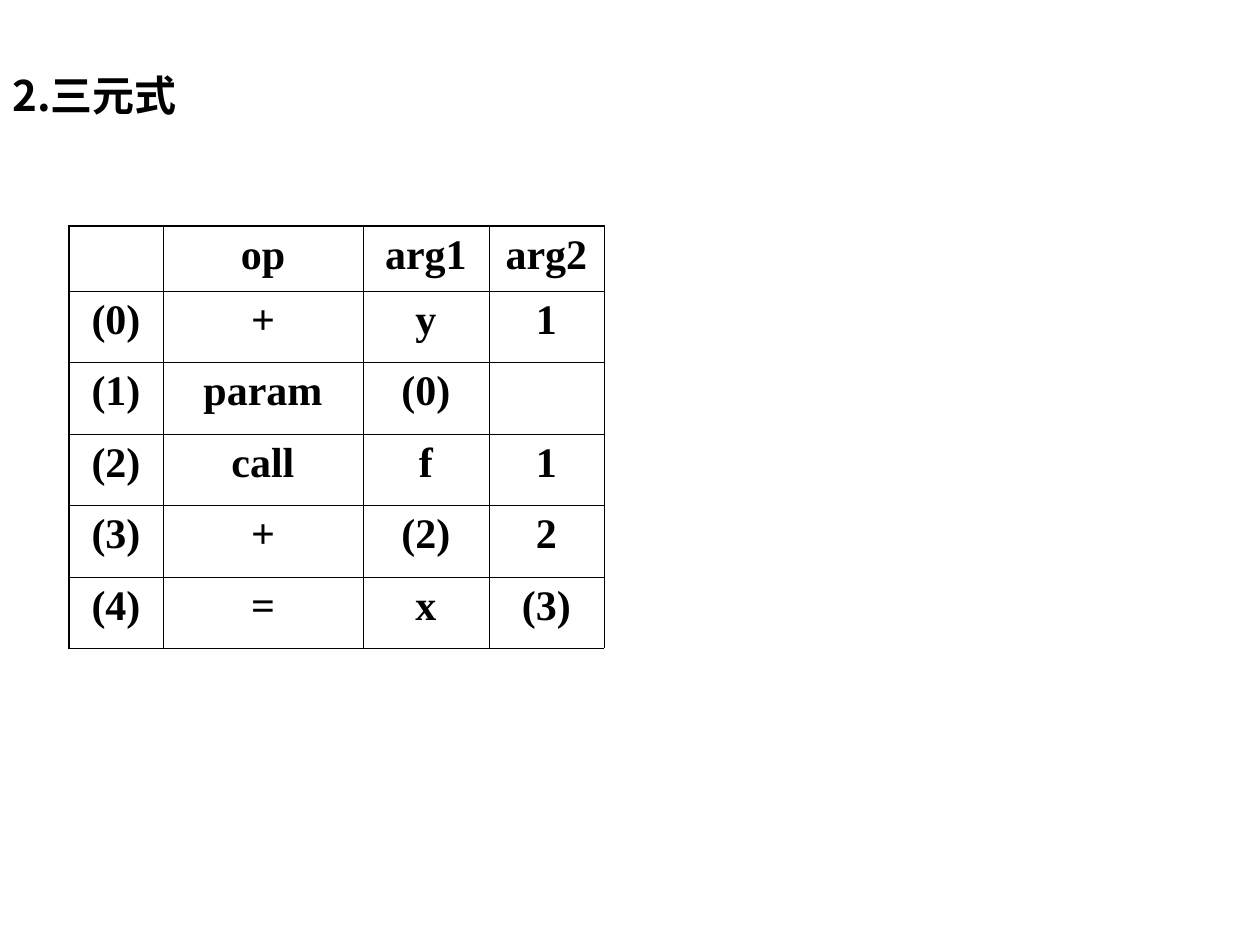
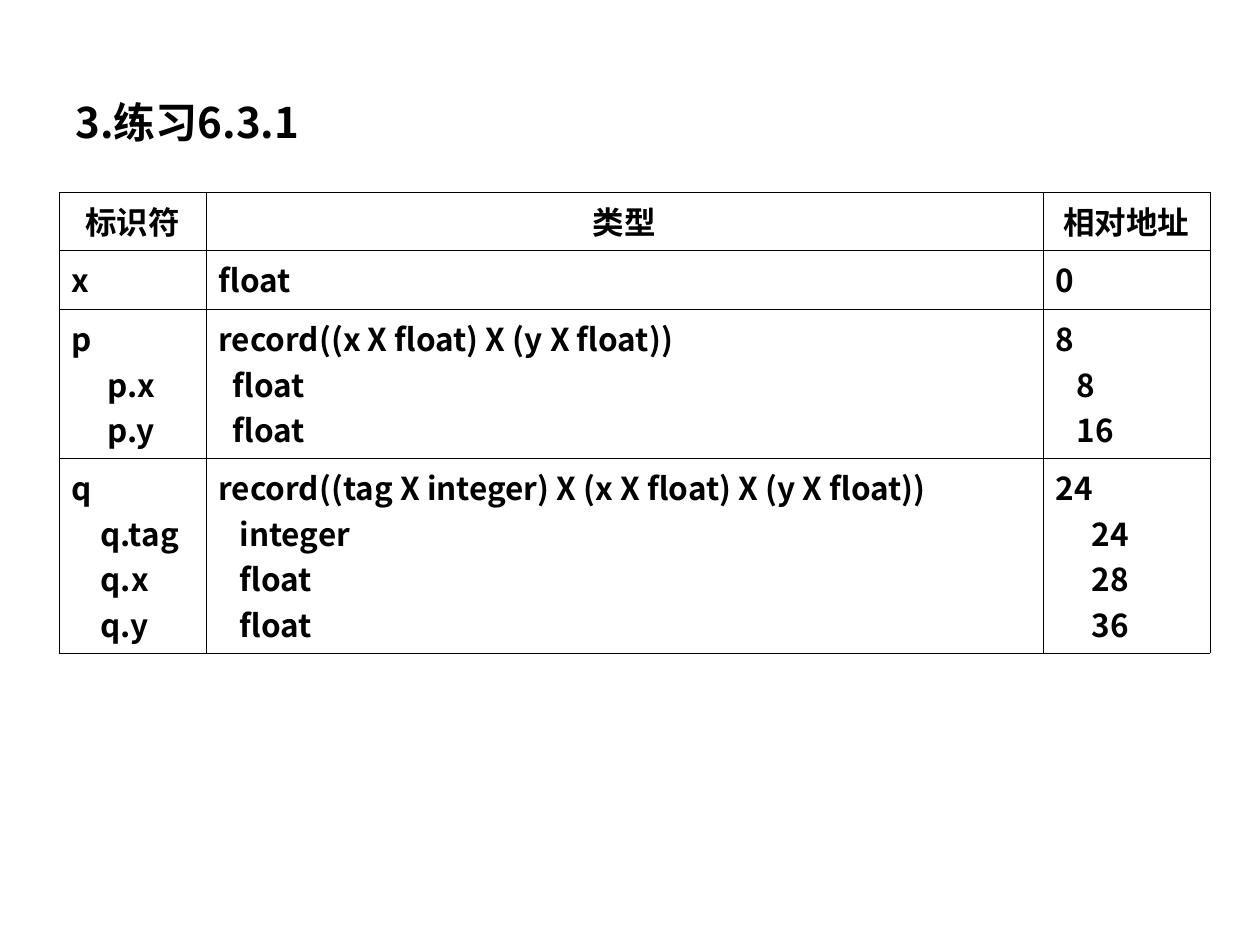
from itertools import pairwise
from lxml.etree import SubElement
from pptx import Presentation
from pptx.dml.color import RGBColor
from pptx.enum.text import MSO_ANCHOR, PP_ALIGN
from pptx.oxml.ns import qn
from pptx.util import Emu, Pt

SANS, SERIF = "Noto Sans CJK SC", "Times New Roman"
INK = "000000"
THIN, THICK = 0.45, 1.08

# Titles: text, box, anchor
TRIPLE_HEAD = ("2.三元式", (0, 69, 1260, 79), MSO_ANCHOR.TOP)
TYPE_HEAD = ("3.练习6.3.1", (63, 88, 1134, 67), MSO_ANCHOR.MIDDLE)

# Triples of the intermediate code
TRIPLES = [
    ("", "op", "arg1", "arg2"),
    ("(0)", "+", "y", "1"),
    ("(1)", "param", "(0)", ""),
    ("(2)", "call", "f", "1"),
    ("(3)", "+", "(2)", "2"),
    ("(4)", "=", "x", "(3)"),
]
TRIPLE_XS = (69, 163, 363, 489, 604)
TRIPLE_YS = (226, 291, 362, 434, 505, 577, 648)

# Symbol table: lines after the first in a cell are record fields
SYMBOLS = [
    ("标识符", "类型", "相对地址"),
    ("x", "float", "0"),
    ("p\np.x\np.y", "record((x X float) X (y X float))\nfloat\nfloat", "8\n8\n16"),
    ("q\nq.tag\nq.x\nq.y",
     "record((tag X integer) X (x X float) X (y X float))\ninteger\nfloat\nfloat",
     "24\n24\n28\n36"),
]
SYMBOL_XS = (59, 206, 1043, 1210)
SYMBOL_YS = (192, 250, 309, 458, 653)
INDENTS = {2: (36, 14, 21), 3: (29, 21, 36)}  # row: field indent per column


def px(n):
    return Emu(round(n * 914400 / 126))


def color(code):
    return RGBColor.from_string(code)


def style(para, face, size):
    font = para.font
    font.name, font.size, font.bold = face, Pt(size), True
    font.color.rgb = color(INK)
    base = para._p.pPr.find(qn("a:defRPr"))
    SubElement(base, qn("a:ea"), typeface=face)


def add_title(slide, head):
    text, box, anchor = head
    frame = slide.shapes.add_textbox(*map(px, box)).text_frame
    frame.word_wrap = True
    frame.margin_top = frame.margin_bottom = 0
    frame.vertical_anchor = anchor
    frame.text = text
    style(frame.paragraphs[0], SANS, 24)


def add_border(cell, side, width):
    props = cell._tc.get_or_add_tcPr()
    line = SubElement(props, qn("a:ln" + side), w=str(Pt(width)))
    fill = SubElement(line, qn("a:solidFill"))
    SubElement(fill, qn("a:srgbClr"), val=INK)


def add_grid(slide, rows, xs, ys, face, size, edge=THIN):
    """Draw a table on the given edges; edge is the outer left and top width."""
    grid = slide.shapes.add_table(
        len(rows), len(rows[0]), px(xs[0]), px(ys[0]),
        px(xs[-1] - xs[0]), px(ys[-1] - ys[0])).table
    grid.first_row = grid.horz_banding = False
    for col, (left, right) in zip(grid.columns, pairwise(xs)):
        col.width = px(right - left)
    for row, (top, low) in zip(grid.rows, pairwise(ys)):
        row.height = px(low - top)
    for r, row in enumerate(rows):
        for c, text in enumerate(row):
            cell = grid.cell(r, c)
            cell.text = text
            for para in cell.text_frame.paragraphs:
                style(para, face, size)
            widths = {"L": THIN if c else edge, "R": THIN,
                      "T": THIN if r else edge, "B": THIN}
            for side, width in widths.items():
                add_border(cell, side, width)
            cell.fill.background()
    return grid


def center(cells):
    for cell in cells:
        for para in cell.text_frame.paragraphs:
            para.alignment = PP_ALIGN.CENTER


def indent(grid):
    for r, steps in INDENTS.items():
        for c, step in enumerate(steps):
            for para in grid.cell(r, c).text_frame.paragraphs[1:]:
                para._p.get_or_add_pPr().set("marL", str(px(step)))


def main():
    deck = Presentation()
    deck.slide_width, deck.slide_height = px(1260), px(945)
    blank = deck.slide_layouts[6]

    # Triples
    slide = deck.slides.add_slide(blank)
    add_title(slide, TRIPLE_HEAD)
    grid = add_grid(slide, TRIPLES, TRIPLE_XS, TRIPLE_YS, SERIF, 24, THICK)
    center(grid.iter_cells())

    # Types and relative addresses
    slide = deck.slides.add_slide(blank)
    add_title(slide, TYPE_HEAD)
    grid = add_grid(slide, SYMBOLS, SYMBOL_XS, SYMBOL_YS, SANS, 18)
    center(grid.rows[0].cells)
    indent(grid)

    deck.save("out.pptx")


if __name__ == "__main__":
    main()
